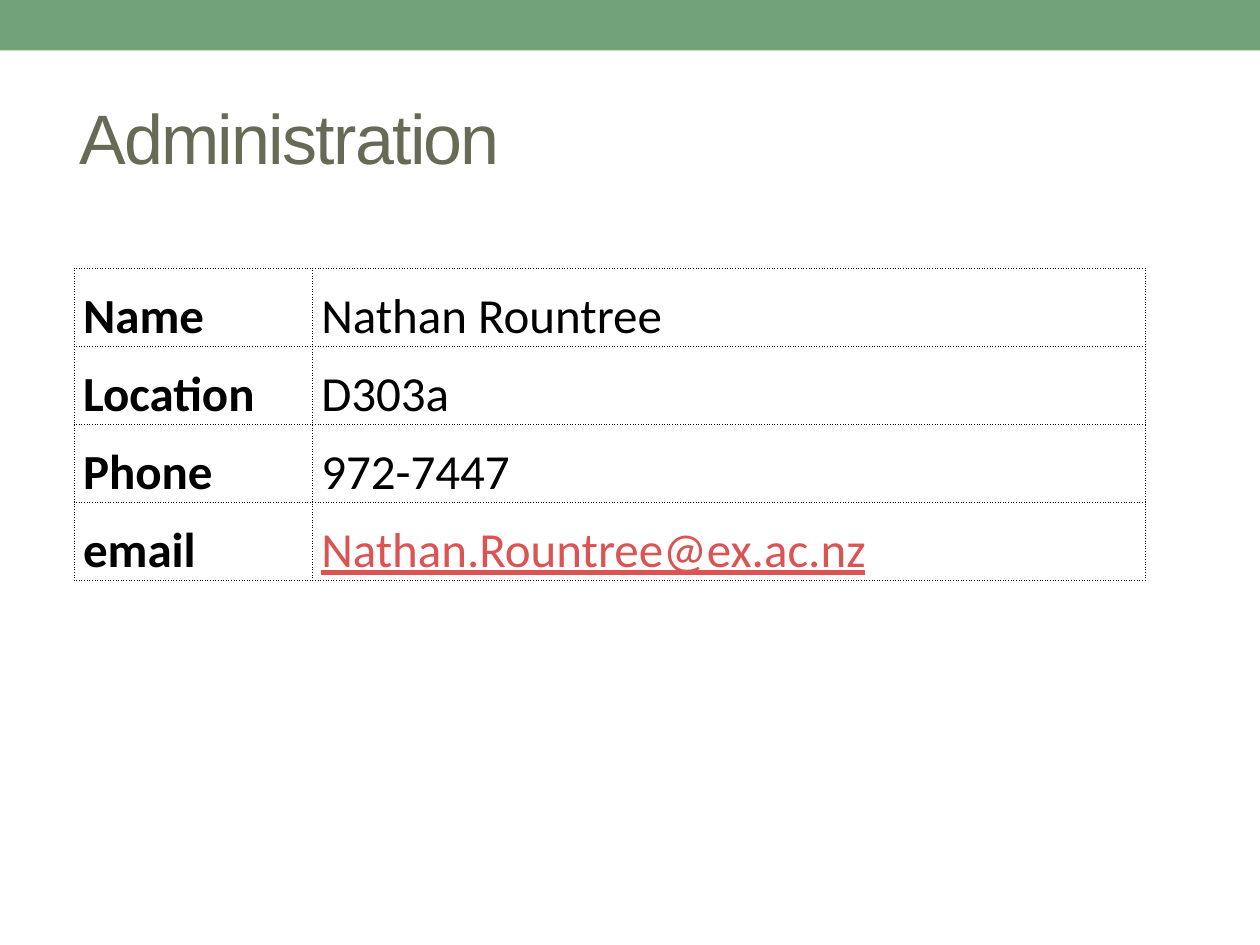
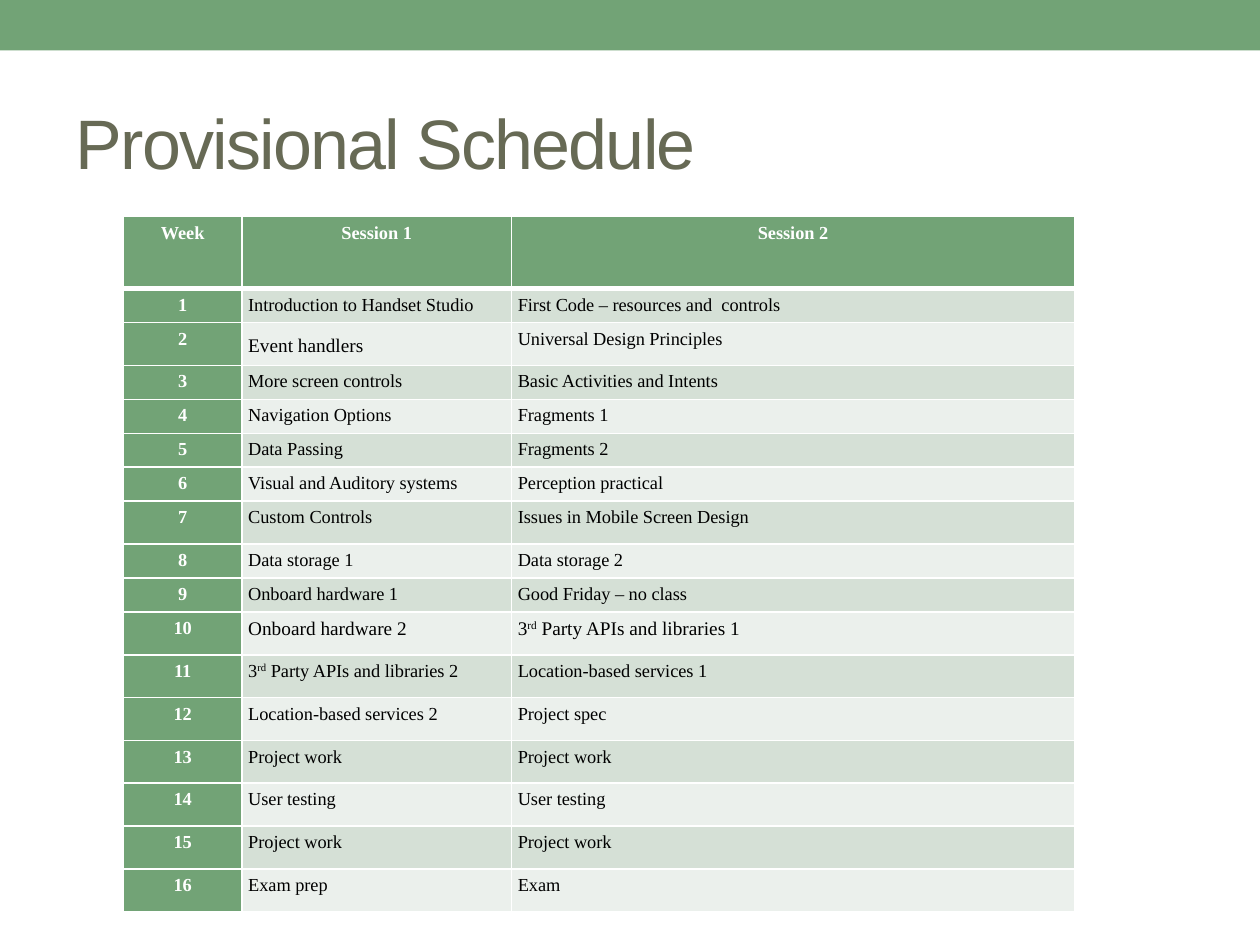
from lxml import etree
from pptx import Presentation
from pptx.dml.color import RGBColor
from pptx.enum.shapes import MSO_SHAPE
from pptx.enum.text import MSO_ANCHOR, MSO_AUTO_SIZE, PP_ALIGN
from pptx.oxml.ns import qn
from pptx.util import Inches, Pt

RECTANGLE = MSO_SHAPE.RECTANGLE
LEFT, CENTER = PP_ALIGN.LEFT, PP_ALIGN.CENTER
TOP, MIDDLE = MSO_ANCHOR.TOP, MSO_ANCHOR.MIDDLE
NO_AUTOFIT = MSO_AUTO_SIZE.NONE

# Shared look
GREEN, PALE_GREEN, MIST = "72A376", "D5E0D6", "EBF0EC"
OLIVE, CORAL, BLACK, WHITE = "676A55", "DB5353", "000000", "FFFFFF"
TITLE_FONT, CONTACT_FONT, SCHEDULE_FONT = "Arial", "Calibri", "Times New Roman"
TITLE_ONLY = 5

CONTACT_ROWS = [
    ("Name", "Nathan Rountree"),
    ("Location", "D303a"),
    ("Phone", "972-7447"),
    ("email", "Nathan.Rountree@ex.ac.nz"),
]

# Carets enclose superscript text
SESSIONS = [
    ("Introduction to Handset Studio", "First Code – resources and  controls"),
    ("Event handlers", "Universal Design Principles"),
    ("More screen controls", "Basic Activities and Intents"),
    ("Navigation Options", "Fragments 1"),
    ("Data Passing", "Fragments 2"),
    ("Visual and Auditory systems", "Perception practical"),
    ("Custom Controls", "Issues in Mobile Screen Design"),
    ("Data storage 1", "Data storage 2"),
    ("Onboard hardware 1", "Good Friday – no class"),
    ("Onboard hardware 2", "3^rd^ Party APIs and libraries 1"),
    ("3^rd^ Party APIs and libraries 2", "Location-based services 1"),
    ("Location-based services 2", "Project spec"),
    ("Project work", "Project work"),
    ("User testing", "User testing"),
    ("Project work", "Project work"),
    ("Exam prep", "Exam"),
]
HEADER_HEIGHT, SHORT_ROW, TALL_ROW = 0.57, 0.27, 0.34
SHORT_WEEKS = {1, 3, 4, 5, 6, 8, 9}
LARGER_TEXT = {"Event handlers", "Onboard hardware 2", "3^rd^ Party APIs and libraries 1"}


def rgb(color):
    return RGBColor.from_string(color)


def style_font(font, name, size, color, bold=False):
    font.name, font.size, font.bold = name, Pt(size), bold
    font.color.rgb = rgb(color)


def add_master_band(prs, slide):
    """Build the green band and move it behind everything on the master."""
    band = slide.shapes.add_shape(RECTANGLE, 0, 0, prs.slide_width, Inches(0.4))
    band.shadow.inherit = False
    band.fill.solid()
    band.fill.fore_color.rgb = rgb(GREEN)
    band.line.fill.background()
    band._element.nvSpPr.cNvPr.set("id", "99")
    prs.slide_master.shapes._spTree.insert(2, band._element)


def add_title(slide, text, left, top):
    title = slide.shapes.title
    title.left, title.top = Inches(left), Inches(top)
    title.width, title.height = Inches(9), Inches(1.08)
    frame = title.text_frame
    frame.text = text
    frame.auto_size = NO_AUTOFIT
    frame.vertical_anchor = MIDDLE
    paragraph = frame.paragraphs[0]
    paragraph.alignment = LEFT
    run = paragraph.runs[0]
    style_font(run.font, TITLE_FONT, 40, OLIVE)
    run.font._element.set("spc", "-100")


def add_plain_table(slide, left, top, widths, heights):
    """Add a table without the banding of its style."""
    table = slide.shapes.add_table(
        len(heights), len(widths), Inches(left), Inches(top),
        Inches(sum(widths)), Inches(sum(heights))).table
    table.first_row = table.horz_banding = False
    for column, width in zip(table.columns, widths):
        column.width = Inches(width)
    for row, height in zip(table.rows, heights):
        row.height = Inches(height)
    return table


def set_borders(cell, color, dash="solid", top=1, bottom=1):
    properties = cell._tc.get_or_add_tcPr()
    for side, width in (("L", 1), ("R", 1), ("T", top), ("B", bottom)):
        line = etree.SubElement(properties, qn(f"a:ln{side}"), w=str(Pt(width)))
        fill = etree.SubElement(line, qn("a:solidFill"))
        etree.SubElement(fill, qn("a:srgbClr"), val=color)
        etree.SubElement(line, qn("a:prstDash"), val=dash)


def set_margins(cell, horizontal, vertical):
    cell.margin_left = cell.margin_right = Inches(horizontal)
    cell.margin_top = cell.margin_bottom = Inches(vertical)


def write_cell(cell, text, font, size, color, bold=False, align=LEFT, spacing=None):
    paragraph = cell.text_frame.paragraphs[0]
    paragraph.alignment = align
    paragraph.line_spacing = spacing
    for index, part in enumerate(text.split("^")):
        run = paragraph.add_run()
        run.text = part
        style_font(run.font, font, size, color, bold)
        if index % 2:
            run.font._element.set("baseline", "30000")


def add_contact_table(slide):
    table = add_plain_table(slide, 0.59, 2.13, [1.89, 6.61], [0.62] * len(CONTACT_ROWS))
    for row, entries in enumerate(CONTACT_ROWS):
        for column, text in enumerate(entries):
            cell = table.cell(row, column)
            is_email = "@" in text
            set_borders(cell, BLACK, "sysDot")
            cell.fill.background()
            set_margins(cell, 0.07, 0)
            cell.vertical_anchor = MIDDLE
            write_cell(cell, text, CONTACT_FONT, 28, CORAL if is_email else BLACK,
                       bold=column == 0, spacing=1.3)
            if is_email:
                cell.text_frame.paragraphs[0].runs[0].font.underline = True


def add_schedule_table(slide):
    rows = [("Week", "Session 1", "Session 2")]
    rows += [(str(week), *pair) for week, pair in enumerate(SESSIONS, 1)]
    heights = [HEADER_HEIGHT] + [SHORT_ROW if week in SHORT_WEEKS else TALL_ROW
                                 for week in range(1, len(rows))]
    table = add_plain_table(slide, 0.98, 1.72, [0.94, 2.14, 4.47], heights)
    for row, entries in enumerate(rows):
        for column, text in enumerate(entries):
            cell = table.cell(row, column)
            is_heading = row == 0 or column == 0
            # A thick rule parts the header from the weeks
            set_borders(cell, WHITE, top=3 if row == 1 else 1, bottom=3 if row == 0 else 1)
            cell.fill.solid()
            band_color = PALE_GREEN if row % 2 else MIST
            cell.fill.fore_color.rgb = rgb(GREEN if is_heading else band_color)
            set_margins(cell, 0.05, 0.05)
            cell.vertical_anchor = TOP
            write_cell(cell, text, SCHEDULE_FONT, 11 if text in LARGER_TEXT else 10.5,
                       WHITE if is_heading else BLACK, bold=is_heading,
                       align=CENTER if is_heading else LEFT,
                       spacing=1.3 if text == "Event handlers" else None)


def main():
    prs = Presentation()
    prs.slide_width, prs.slide_height = Inches(10), Inches(7.5)
    layout = prs.slide_layouts[TITLE_ONLY]

    # Contact details
    administration = prs.slides.add_slide(layout)
    add_master_band(prs, administration)
    add_title(administration, "Administration", 0.53, 0.54)
    add_contact_table(administration)

    # Weekly sessions
    schedule = prs.slides.add_slide(layout)
    add_title(schedule, "Provisional Schedule", 0.5, 0.58)
    add_schedule_table(schedule)

    prs.save("out.pptx")


main()
